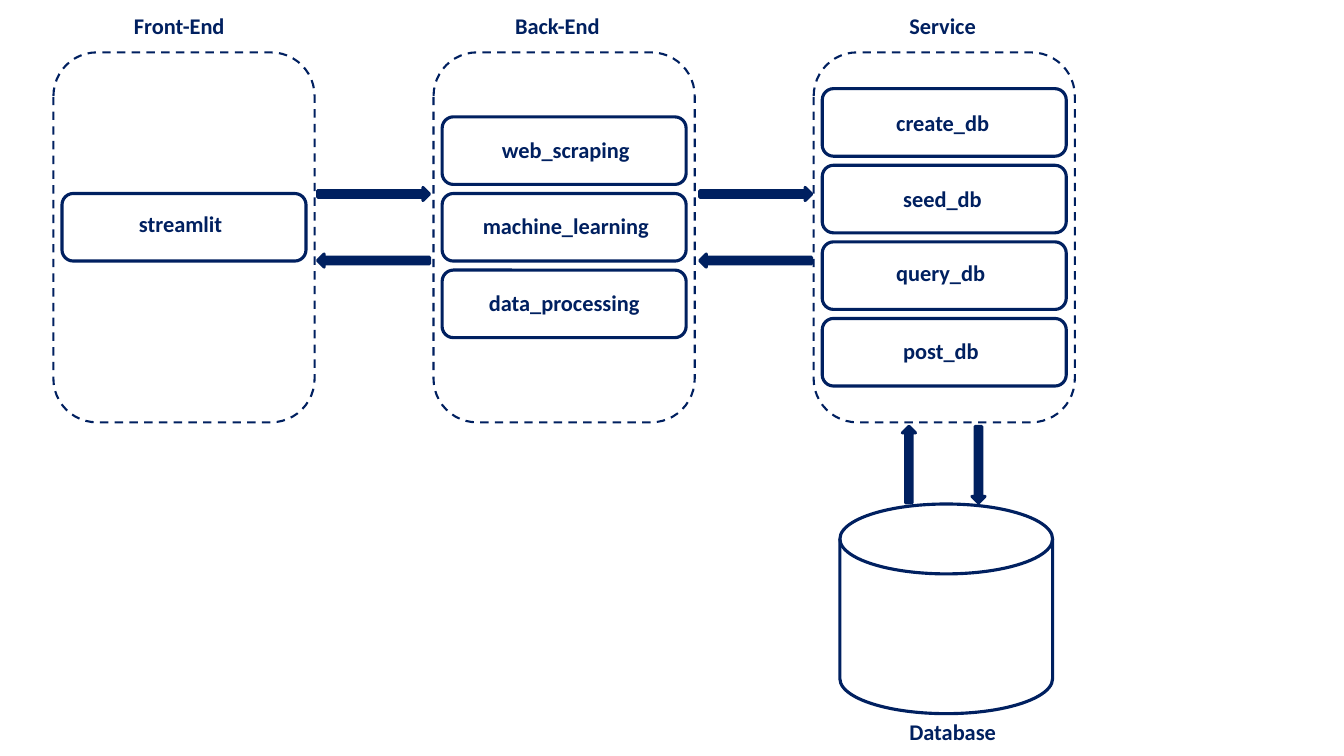
from dataclasses import dataclass
from pptx import Presentation
from pptx.dml.color import RGBColor
from pptx.enum.dml import MSO_LINE
from pptx.enum.shapes import MSO_SHAPE
from pptx.enum.text import MSO_ANCHOR, PP_ALIGN
from pptx.util import Inches, Pt


@dataclass(frozen=True)
class Theme:
    navy: RGBColor = RGBColor(0x00, 0x20, 0x60)
    font: str = "Calibri"
    size: float = 16
    thin: float = 1.5
    thick: float = 2.25


theme = Theme()

# Each panel: title, title inset, vertical shift of its stack, modules.
# Each module: name, label inset from the panel, label drop from its box.
PANELS = [
    ("Front-End", 0.70, -0.1, [("streamlit", 0.75, 0.12)]),
    ("Back-End", 0.71, -0.1, [("web_scraping", 0.58, 0.14),
                              ("machine_learning", 0.39, 0.14),
                              ("data_processing", 0.45, 0.14)]),
    ("Service", 0.85, 0, [("create_db", 0.72, 0.15),
                          ("seed_db", 0.79, 0.15),
                          ("query_db", 0.72, 0.12),
                          ("post_db", 0.79, 0.14)]),
]
PANEL_W, PANEL_H, PANEL_TOP = 2.59, 3.67, 0.52
LEFT, STEP = 0.53, 3.77
MOD_W, MOD_H, PITCH = 2.42, 0.67, 0.76
ARROW = 0.13


def add_text(slide, text, x, y, width=1.95, height=0.37, size=theme.size,
             color=theme.navy, bold=True, align=PP_ALIGN.LEFT):
    box = slide.shapes.add_textbox(
        Inches(x), Inches(y), Inches(width), Inches(height))
    frame = box.text_frame
    frame.word_wrap = True
    frame.vertical_anchor = MSO_ANCHOR.TOP
    para = frame.paragraphs[0]
    para.alignment = align
    run = para.add_run()
    run.text = text
    run.font.name = theme.font
    run.font.size = Pt(size)
    run.font.bold = bold
    run.font.color.rgb = color


def add_form(slide, kind, x, y, width, height, line=theme.thick,
             fill=None, dash=None):
    form = slide.shapes.add_shape(
        kind, Inches(x), Inches(y), Inches(width), Inches(height))
    form.shadow.inherit = False
    if fill is None:
        form.fill.background()
    else:
        form.fill.solid()
        form.fill.fore_color.rgb = fill
    form.line.color.rgb = theme.navy
    form.line.width = Pt(line)
    if dash is not None:
        form.line.dash_style = dash


def add_panel(slide, x, y, width, height, title, inset, shift, mods):
    add_form(slide, MSO_SHAPE.ROUNDED_RECTANGLE, x, y, width, height,
             line=theme.thin, dash=MSO_LINE.DASH)
    add_text(slide, title, x + inset, y - 0.45)
    # Stack of modules, centred in the panel
    stack = (len(mods) - 1) * PITCH + MOD_H
    top = y + (height - stack) / 2 + shift
    for row, (name, indent, drop) in enumerate(mods):
        mod_y = top + row * PITCH
        add_form(slide, MSO_SHAPE.ROUNDED_RECTANGLE,
                 x + (width - MOD_W) / 2, mod_y, MOD_W, MOD_H)
        add_text(slide, name, x + indent, mod_y + drop)


def add_flow(slide, x, y, width):
    """Request and reply arrows between two panels."""
    for kind, drop in ((MSO_SHAPE.RIGHT_ARROW, 0),
                       (MSO_SHAPE.LEFT_ARROW, 0.66)):
        add_form(slide, kind, x, y + drop, width, ARROW, fill=theme.navy)


def add_store(slide, x, y, width, height):
    """Database drum, its label and the arrows above it."""
    add_form(slide, MSO_SHAPE.FLOWCHART_MAGNETIC_DISK, x, y, width, height)
    add_text(slide, "Database", x + 0.59, y + height)
    for kind, inset in ((MSO_SHAPE.UP_ARROW, 0.62),
                        (MSO_SHAPE.DOWN_ARROW, 1.31)):
        add_form(slide, kind, x + inset, y - 0.77, ARROW, 0.76,
                 fill=theme.navy)


deck = Presentation()
deck.slide_width, deck.slide_height = Inches(13.33), Inches(7.5)
slide = deck.slides.add_slide(deck.slide_layouts[6])

# Panels
for col, panel in enumerate(PANELS):
    add_panel(slide, LEFT + col * STEP, PANEL_TOP, PANEL_W, PANEL_H, *panel)

# Arrows between panels
for x in (3.15, 6.94):
    add_flow(slide, x, 1.86, 1.11)

# Database
add_store(slide, 8.33, 5, 2.11, 2.08)

deck.save("out.pptx")
